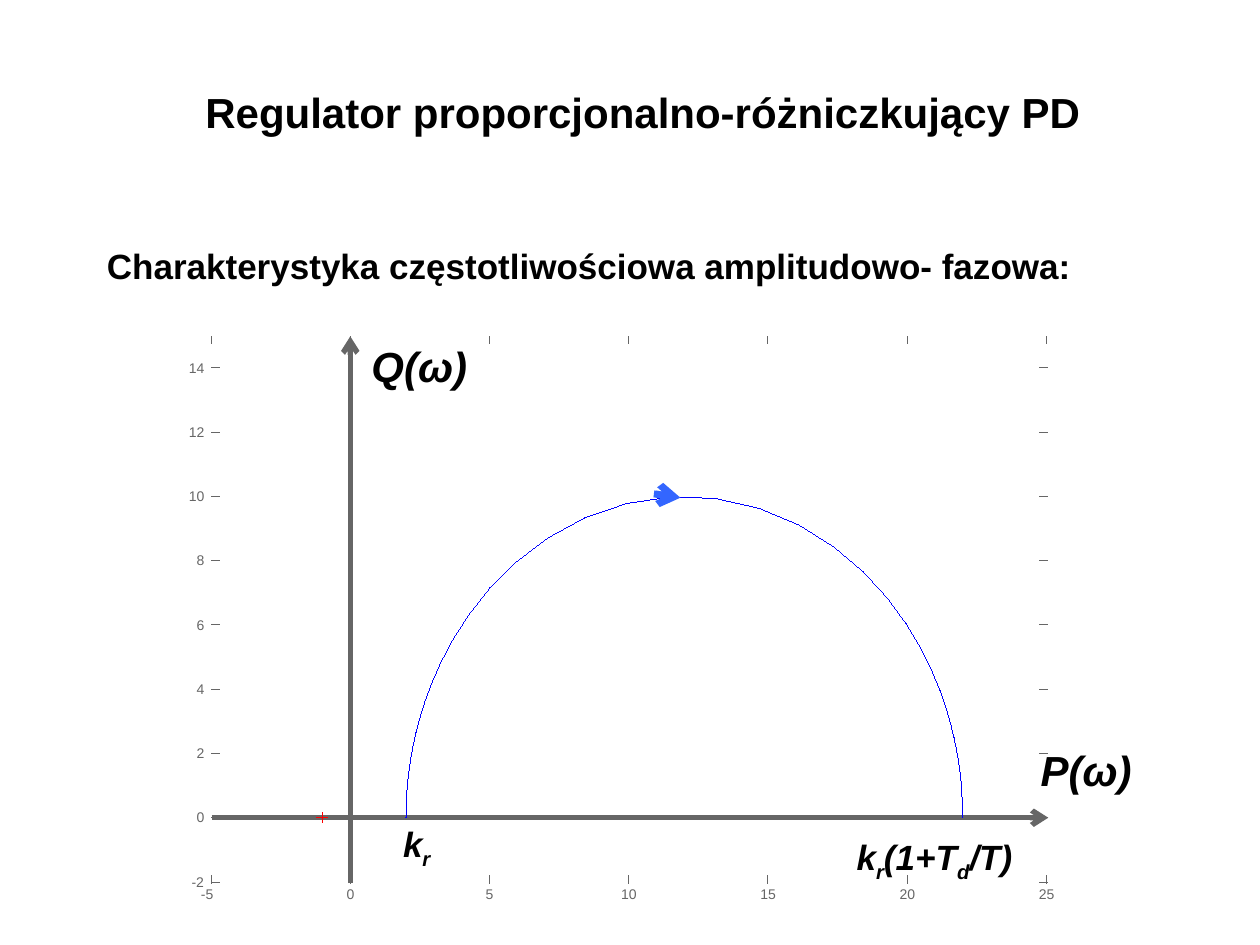
from math import atan, cos, exp, sin

from lxml.etree import SubElement
from pptx import Presentation
from pptx.dml.color import RGBColor
from pptx.enum.shapes import MSO_CONNECTOR
from pptx.enum.text import MSO_ANCHOR, MSO_AUTO_SIZE as AUTO, PP_ALIGN
from pptx.oxml.ns import qn
from pptx.util import Inches, Pt

BLACK = RGBColor(0x00, 0x00, 0x00)
GREY = RGBColor(0x66, 0x66, 0x66)
RED = RGBColor(0xFF, 0x00, 0x00)
BLUE = RGBColor(0x00, 0x00, 0xFF)
ARROW_BLUE = RGBColor(0x33, 0x66, 0xFF)

LEFT, RIGHT, TOP, BOTTOM = 1.68, 8.31, 2.67, 7.01
ORIGIN_X, ORIGIN_Y = 2.78, 6.49
P_UNIT, Q_UNIT = 0.221, 0.255
TICK = 0.06

HEADING = {"size": Pt(24), "bold": True, "name": "Arial"}
SUBHEADING = {"size": Pt(20), "bold": True, "name": "Arial"}
AXIS_NAME = {**HEADING, "italic": True}
POINT_NAME = {**SUBHEADING, "italic": True}
TICK_LABEL = {"size": Pt(8), "name": "Arial"}

prs = Presentation()
prs.slide_width, prs.slide_height = Inches(10), Inches(7.5)
slide = prs.slides.add_slide(prs.slide_layouts[5])
shapes = slide.shapes


def add_line(x1, y1, x2, y2, color, width=0, arrow=False):
    line = shapes.add_connector(
        MSO_CONNECTOR.STRAIGHT, Inches(x1), Inches(y1), Inches(x2), Inches(y2))
    line.line.color.rgb = color
    stroke = line.line._get_or_add_ln()
    stroke.set("w", str(Pt(width)))
    if arrow:
        SubElement(stroke, qn("a:tailEnd"), type="arrow")
    SubElement(line._element.spPr, qn("a:effectLst"))


def write(holder, pieces, look, color, margins=(0.1, 0.05), **frame_format):
    frame = holder.text_frame
    frame.margin_left = frame.margin_right = Inches(margins[0])
    frame.margin_top = frame.margin_bottom = Inches(margins[1])
    for attribute, value in frame_format.items():
        setattr(frame, attribute, value)
    for index, piece in enumerate(pieces):
        run = frame.paragraphs[0].add_run()
        run.text = piece
        for attribute, value in look.items():
            setattr(run.font, attribute, value)
        run.font.color.rgb = color
        if index % 2:
            run._r.get_or_add_rPr().set("baseline", "-25000")
    return frame.paragraphs[0]


title = shapes.title
title.left, title.top = Inches(1.53), Inches(0.23)
title.width, title.height = Inches(8.25), Inches(1.31)
title_line = write(title, ["Regulator proporcjonalno-różniczkujący PD"], HEADING, BLACK,
                   vertical_anchor=MSO_ANCHOR.MIDDLE, auto_size=AUTO.NONE)
title_line.alignment = PP_ALIGN.LEFT

subtitle = shapes.add_textbox(Inches(0.75), Inches(1.78), Inches(8.7), Inches(0.66))
subtitle_line = write(subtitle, ["Charakterystyka częstotliwościowa amplitudowo- fazowa:"],
                      SUBHEADING, BLACK, vertical_anchor=MSO_ANCHOR.MIDDLE, word_wrap=True)
subtitle_line.alignment = PP_ALIGN.JUSTIFY

tick_labels = []
for p in range(-5, 26, 5):
    x = ORIGIN_X + p * P_UNIT
    add_line(x, BOTTOM, x, BOTTOM - TICK, GREY)
    add_line(x, TOP, x, TOP + TICK, GREY)
    width = 0.1 if p < 0 else 0.06 * len(str(p))
    nudge = 0.03 if p < 0 else 0
    tick_labels.append((str(p), x - nudge - width / 2, 7.03, width))

for q in range(-2, 15, 2):
    y = ORIGIN_Y - q * Q_UNIT
    add_line(LEFT, y, LEFT + TICK, y, GREY)
    add_line(RIGHT, y, RIGHT - TICK, y, GREY)
    width = 0.1 if q < 0 else 0.06 * len(str(q))
    tick_labels.append((str(q), 1.62 - width, y - 0.07, width))

for number, x, y, width in tick_labels:
    label = shapes.add_textbox(Inches(x), Inches(y), Inches(width + 0.02), Inches(0.13))
    write(label, [number], TICK_LABEL, GREY, margins=(0, 0),
          word_wrap=False, auto_size=AUTO.SHAPE_TO_FIT_TEXT)

add_line(LEFT, ORIGIN_Y, 8.32, ORIGIN_Y, GREY, 3, arrow=True)
add_line(ORIGIN_X, BOTTOM, ORIGIN_X, TOP, GREY, 3, arrow=True)
add_line(2.51, ORIGIN_Y, 2.6, ORIGIN_Y, RED)
add_line(2.56, 6.45, 2.56, 6.53, RED)

k_r, radius = 2, 10
angles = [2 * atan(exp(0.163 * step - 0.05)) for step in range(-19, 20)]
response = [(k_r + radius * (1 - cos(a)), radius * sin(a)) for a in angles]
response = [(k_r, 0), *response, (k_r + 2 * radius, 0)]
curve = [(ORIGIN_X + p * P_UNIT, ORIGIN_Y - q * Q_UNIT) for p, q in response]
direction_mark = [(5.23, 3.92), (5.33, 3.94), (5.25, 3.99), (5.23, 3.92)]
for outline in (curve, direction_mark):
    points = [(Inches(x), Inches(y)) for x, y in outline]
    builder = shapes.build_freeform(*points[0])
    builder.add_line_segments(points[1:], close=False)
    trace = builder.convert_to_shape()
    trace.fill.background()
    trace.line.color.rgb = BLUE
    trace.line._get_or_add_ln().set("w", "0")
    trace.shadow.inherit = False

for pieces, x, y, width, height, look in (
    (["Q(ω)"], 2.85, 2.65, 0.96, 0.5, AXIS_NAME),
    (["P(ω)"], 8.16, 5.86, 0.92, 0.5, AXIS_NAME),
    (["k", "r"], 3.1, 6.48, 0.42, 0.48, POINT_NAME),
    (["k", "r", "(1+T", "d", "/T)"], 6.7, 6.58, 1.46, 0.48, POINT_NAME),
):
    name = shapes.add_textbox(Inches(x), Inches(y), Inches(width), Inches(height))
    write(name, pieces, look, BLACK, word_wrap=False, auto_size=AUTO.SHAPE_TO_FIT_TEXT)

add_line(5.19, 3.92, 5.4, 3.95, ARROW_BLUE, 4, arrow=True)

prs.save("out.pptx")
